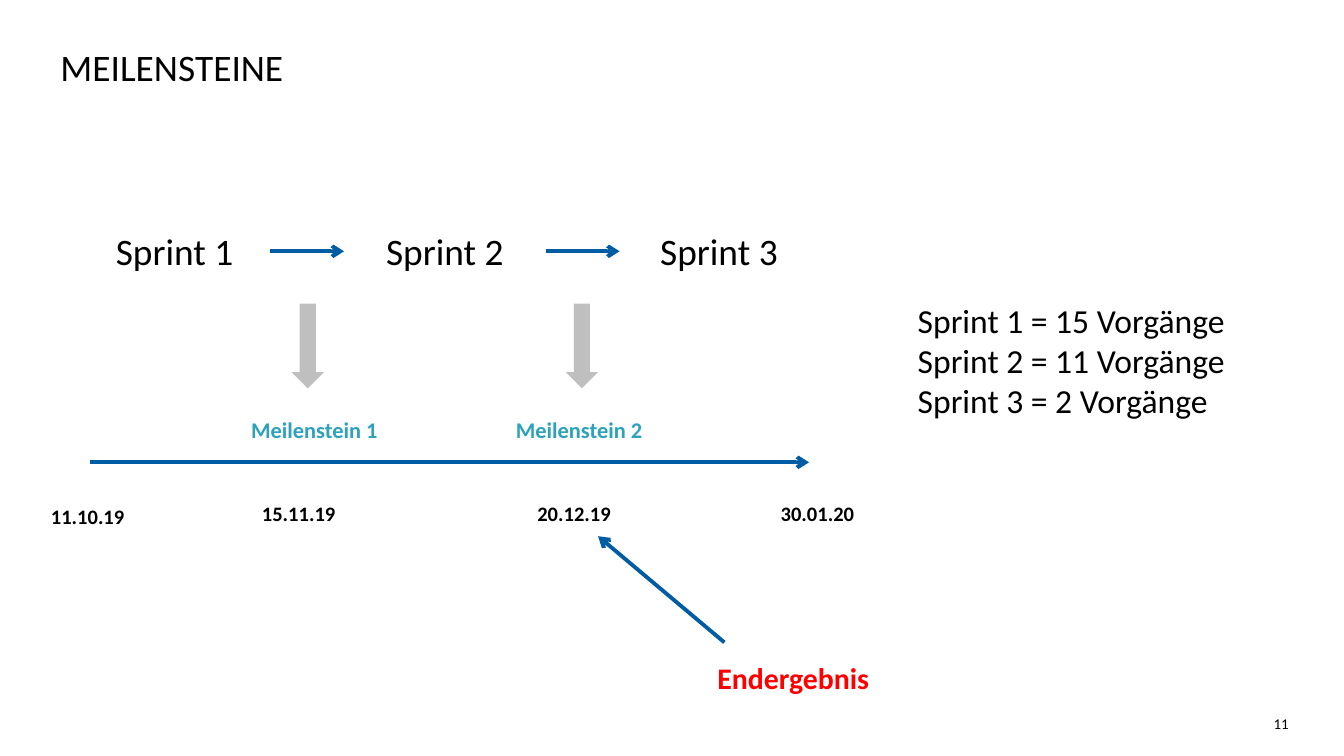
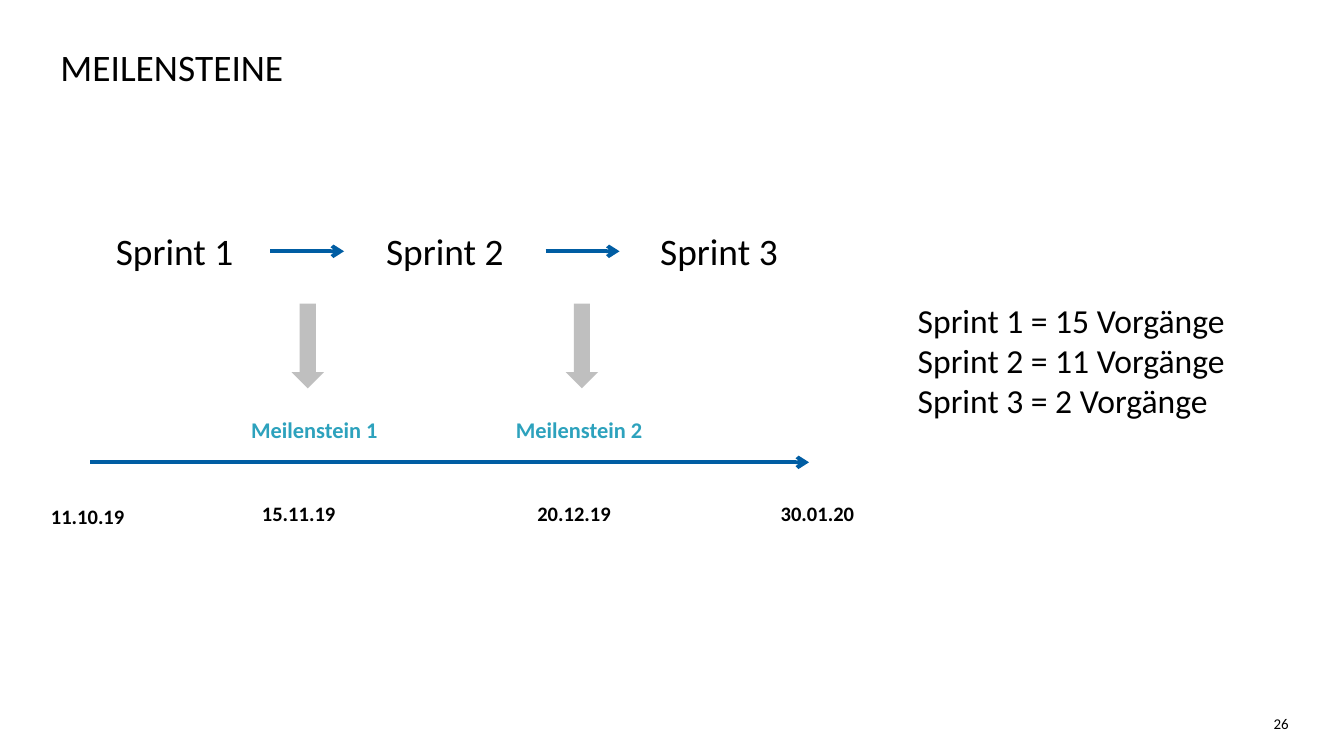
from pptx import Presentation
from pptx.dml.color import RGBColor
from pptx.enum.shapes import MSO_CONNECTOR, MSO_SHAPE
from pptx.enum.text import MSO_ANCHOR, MSO_AUTO_SIZE, PP_ALIGN
from pptx.util import Inches, Pt
from lxml.etree import SubElement
from pptx.oxml.ns import qn

# Shared style
COLORS = {"text": "000000", "line": "005DA3", "block": "BFBFBF",
          "mark": "2DA2BD", "end": "FF0000"}
LEFT, MID, RIGHT = PP_ALIGN.LEFT, PP_ALIGN.CENTER, PP_ALIGN.RIGHT
TOP, CENTER, BOTTOM = MSO_ANCHOR.TOP, MSO_ANCHOR.MIDDLE, MSO_ANCHOR.BOTTOM


def write(shape, lines, size, color="text", bold=False, align=LEFT, anchor=TOP):
    frame = shape.text_frame
    frame.text = "\n".join(lines)
    form = {"word_wrap": True, "auto_size": MSO_AUTO_SIZE.NONE,
            "vertical_anchor": anchor}
    for key, val in form.items():
        setattr(frame, key, val)
    font = {"name": "Calibri", "size": Pt(size), "bold": bold}
    for para in frame.paragraphs:
        para.alignment = align
        for run in para.runs:
            for key, val in font.items():
                setattr(run.font, key, val)
            run.font.color.rgb = RGBColor.from_string(COLORS[color])
    return frame


def arrow(slide, *ends):
    line = slide.shapes.add_connector(MSO_CONNECTOR.STRAIGHT, *map(Inches, ends))
    line.line.width = Pt(2.08)
    line.line.color.rgb = RGBColor.from_string(COLORS["line"])
    props = line._element.spPr
    SubElement(props.find(qn("a:ln")), qn("a:tailEnd"), type="arrow")
    SubElement(props, qn("a:effectLst"))


# Wide 16:9 deck
deck = Presentation()
deck.slide_width = Inches(10)
deck.slide_height = deck.slide_width * 9 // 16

for page in (11, 26):
    slide = deck.slides.add_slide(deck.slide_layouts[5])
    shapes = slide.shapes

    # Title
    title = shapes.title
    place = {"left": 0.35, "top": 0.18, "width": 9.25, "height": 0.63}
    for key, val in place.items():
        setattr(title, key, Inches(val))
    write(title, ["MEILENSTEINE"], 20, anchor=CENTER)

    # Page number
    box = shapes.add_textbox(*map(Inches, (6.52, 5.27, 3.07, 0.2)))
    frame = write(box, [str(page)], 8, align=RIGHT)
    frame.margin_left = frame.margin_right = 0

    # Sprints
    sprints = [(0.67, 1.26), (2.72, 1.18), (4.76, 1.18)]
    for num, (left, wide) in enumerate(sprints, 1):
        box = shapes.add_textbox(*map(Inches, (left, 1.55, wide, 0.63)))
        write(box, [f"Sprint {num}"], 20, align=MID, anchor=CENTER)

    # Sprint arrows, block arrows and milestones
    for num in range(2):
        start = 2.01 + 2.05 * num
        arrow(slide, start, 1.87, start + 0.55, 1.87)
        block = shapes.add_shape(
            MSO_SHAPE.DOWN_ARROW,
            *map(Inches, (2.17 + 2.04 * num, 2.26, 0.24, 0.63)))
        block.shadow.inherit = False
        block.fill.solid()
        block.fill.fore_color.rgb = RGBColor.from_string(COLORS["block"])
        block.line.fill.background()
        box = shapes.add_textbox(
            *map(Inches, (1.77 + 1.97 * num, 3.05, 1.26, 0.3)))
        write(box, [f"Meilenstein {num + 1}"], 12, "mark", True)

    # Time line with dates
    arrow(slide, 0.67, 3.44, 6.02, 3.44)
    dates = [("11.10.19", 0.28, 3.58, 0.79, 0.4, BOTTOM),
             ("15.11.19", 1.85, 3.68, 0.79, 0.29, TOP),
             ("20.12.19", 3.9, 3.68, 0.87, 0.29, TOP),
             ("30.01.20", 5.71, 3.68, 0.79, 0.29, TOP)]
    for date, *spot, anchor in dates:
        box = shapes.add_textbox(*map(Inches, spot))
        write(box, [date], 11, bold=True, anchor=anchor)

    # Task counts
    box = shapes.add_textbox(*map(Inches, (6.73, 2.18, 2.99, 1.01)))
    counts = [f"Sprint {num} = {count} Vorgänge"
              for num, count in enumerate((15, 11, 2), 1)]
    write(box, counts, 18)

    # Final result, first slide only
    if page == 11:
        arrow(slide, 5.39, 4.78, 4.45, 3.99)
        box = shapes.add_textbox(*map(Inches, (5.24, 4.86, 1.34, 0.37)))
        write(box, ["Endergebnis"], 16, "end", True)

deck.save("out.pptx")
